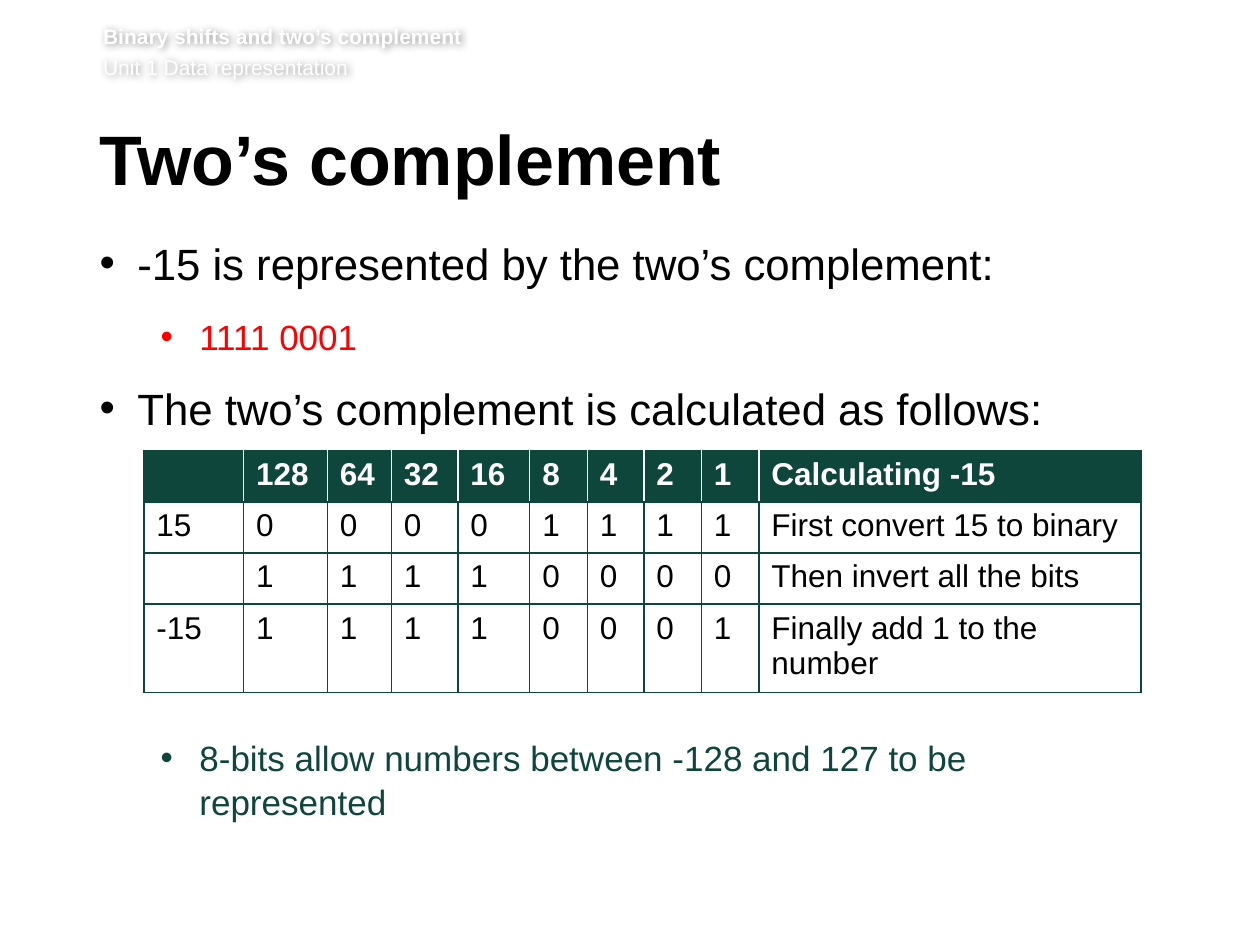
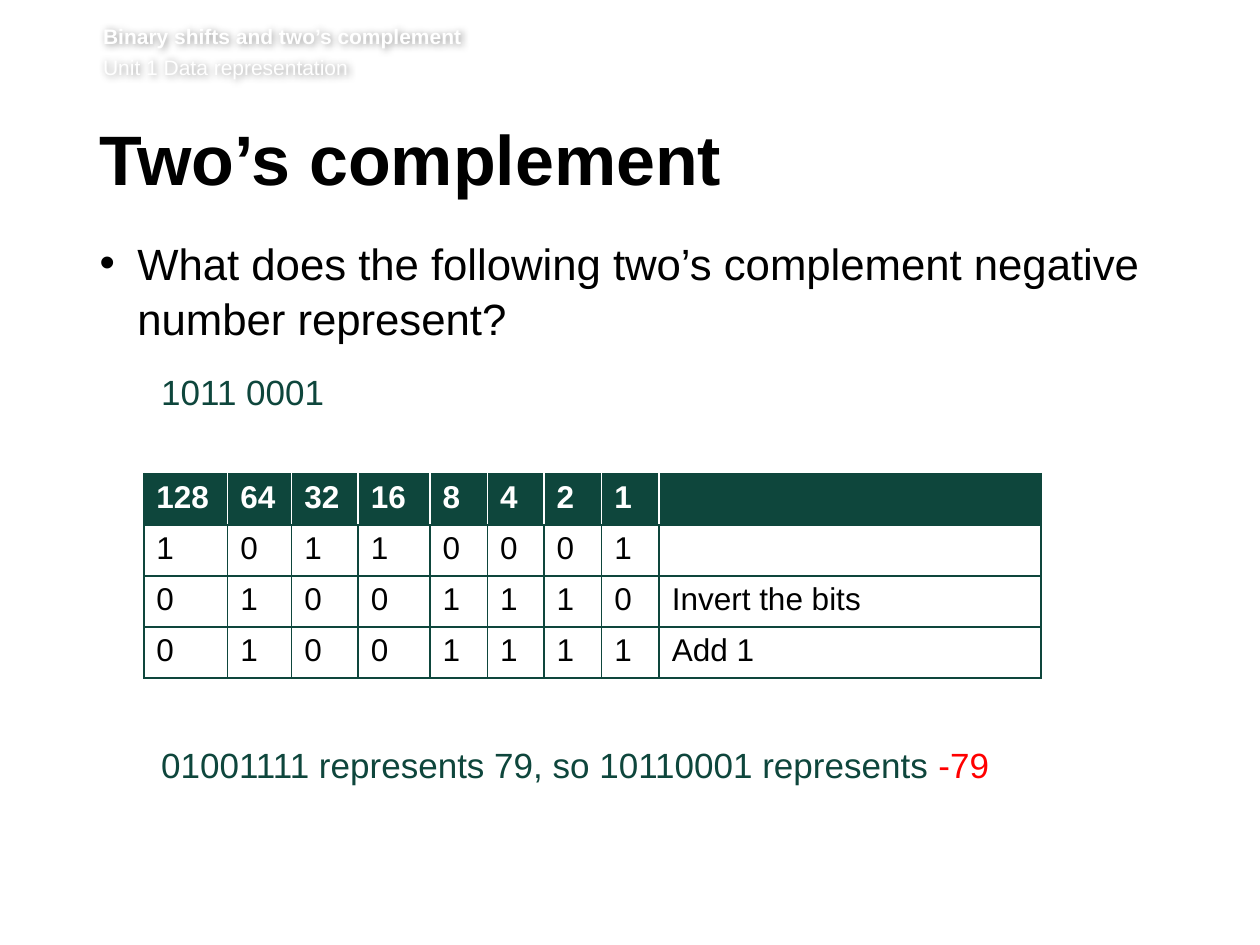
import dataclasses

import pptx
import pptx.dml.color
import pptx.enum.text
import pptx.oxml
import pptx.oxml.ns
import pptx.util

Cm = pptx.util.Cm
Pt = pptx.util.Pt
NAMESPACE = pptx.oxml.ns.nsdecls("a")


@dataclasses.dataclass(frozen=True)
class Theme:
    font: str = "Arial"
    black: str = "000000"
    white: str = "FFFFFF"
    green: str = "0E463C"
    red: str = "FF0000"
    title_size: int = 40
    question_size: int = 25
    answer_size: int = 20
    table_size: int = 18
    header_size: int = 12


class LessonDeck:
    """Holds the theme and the slide being filled."""

    # Column widths and row height in cm
    BIT_WIDTHS = {"128": 1.69, "64": 1.29, "32": 1.34, "16": 1.45,
                  "8": 1.16, "4": 1.14, "2": 1.16, "1": 1.16}
    LABEL_WIDTH, NOTE_WIDTH, ROW_HEIGHT = 2.01, 7.7, 1.03

    def __init__(self, theme):
        self.theme = theme
        self.deck = pptx.Presentation()
        self.deck.slide_width, self.deck.slide_height = Cm(25.4), Cm(19.05)
        self.page = None

    def new_page(self, title):
        self.page = self.deck.slides.add_slide(self.deck.slide_layouts[6])
        self.header("Binary shifts and two’s complement", "Unit 1 Data representation")
        self.title(title)

    def style(self, span, size, color, bold=False):
        span.font.name = self.theme.font
        span.font.size = Pt(size)
        span.font.bold = bold
        span.font.color.rgb = pptx.dml.color.RGBColor.from_string(color)

    def text_box(self, left, top, width, height, inset_top=0, inset_right=0.25):
        box = self.page.shapes.add_textbox(Cm(left), Cm(top), Cm(width), Cm(height))
        frame = box.text_frame
        frame.word_wrap = True
        frame.vertical_anchor = pptx.enum.text.MSO_ANCHOR.TOP
        frame.margin_left, frame.margin_right = 0, Cm(inset_right)
        frame.margin_top, frame.margin_bottom = Cm(inset_top), Cm(0.13)
        return box

    def header(self, lesson, unit):
        box = self.text_box(2.08, 0.48, 22.4, 1.24, inset_right=0)
        box.text_frame.text = f"{lesson}\n{unit}"
        first, second = box.text_frame.paragraphs
        second.space_before = Pt(2.9)
        for para in (first, second):
            self.style(para.runs[0], self.theme.header_size, self.theme.white, para is first)
        # Soft shadow that makes the white text readable
        box.fill.background()
        box.line.fill.background()
        box._element.spPr.append(pptx.oxml.parse_xml(
            f'<a:effectLst {NAMESPACE}><a:outerShdw blurRad="50800" dist="12700" dir="2700000">'
            f'<a:srgbClr val="{self.theme.black}"><a:alpha val="40000"/></a:srgbClr>'
            '</a:outerShdw></a:effectLst>'))

    def title(self, text):
        frame = self.text_box(2.01, 2.51, 21.72, 1.85, inset_top=0.13).text_frame
        frame.text = text
        frame.paragraphs[0].line_spacing = Pt(39)
        self.style(frame.paragraphs[0].runs[0], self.theme.title_size, self.theme.black, True)

    def body(self, top, height, *lines):
        frame = self.text_box(2.01, top, 21.67, height).text_frame
        for index, (add_line, *content) in enumerate(lines):
            para = frame.add_paragraph() if index else frame.paragraphs[0]
            para.line_spacing = 1.05
            add_line(para, *content)

    def indent(self, para, left, hanging, after):
        properties = para._p.get_or_add_pPr()
        properties.set("marL", str(Cm(left)))
        properties.set("indent", str(-Cm(hanging)))
        if hanging:
            properties.append(pptx.oxml.parse_xml(f'<a:buFont {NAMESPACE} typeface="{self.theme.font}"/>'))
            properties.append(pptx.oxml.parse_xml(f'<a:buChar {NAMESPACE} char="•"/>'))
        para.space_after = Pt(after)

    def question(self, para, text):
        self.indent(para, 0.76, 0.76, after=14)
        para.text = text
        self.style(para.runs[0], self.theme.question_size, self.theme.black)

    def bullet(self, para, text, color):
        self.indent(para, 2.01, 0.78, after=12)
        para.text = text
        self.style(para.runs[0], self.theme.answer_size, color)

    def answer(self, para, *parts):
        self.indent(para, 1.24, 0, after=12)
        for text, color in parts:
            span = para.add_run()
            span.text = text
            self.style(span, self.theme.answer_size, color)

    def bit_table(self, top, heading, rows, labelled):
        """Rows hold a label, a string of eight bits and a note."""
        widths = [*self.BIT_WIDTHS.values(), self.NOTE_WIDTH]
        lines = [[*self.BIT_WIDTHS, heading], *([*bits, note] for _, bits, note in rows)]
        if labelled:
            widths.insert(0, self.LABEL_WIDTH)
            labels = ["", *(label for label, _, _ in rows)]
            lines = [[label, *line] for label, line in zip(labels, lines)]
        table = self.page.shapes.add_table(
            len(lines), len(widths), Cm(2.9), Cm(top),
            Cm(sum(widths)), Cm(self.ROW_HEIGHT * len(lines))).table
        table.first_row = table.horz_banding = False
        for column, width in zip(table.columns, widths):
            column.width = Cm(width)
        for row, line in enumerate(lines):
            table.rows[row].height = Cm(self.ROW_HEIGHT)
            for column, text in enumerate(line):
                self.bit_cell(table.cell(row, column), text, row == 0,
                              column == 0, column == len(widths) - 1)

    def bit_cell(self, cell, text, heading, first, last):
        theme = self.theme
        inner = theme.white if heading else theme.green
        borders = {"L": theme.green if first else inner, "R": theme.green if last else inner,
                   "T": theme.green, "B": theme.green}
        properties = cell._tc.get_or_add_tcPr()
        for side, color in borders.items():
            properties.append(pptx.oxml.parse_xml(
                f'<a:ln{side} {NAMESPACE} w="{Pt(1)}"><a:solidFill>'
                f'<a:srgbClr val="{color}"/></a:solidFill></a:ln{side}>'))
        if heading:
            cell.fill.solid()
            cell.fill.fore_color.rgb = pptx.dml.color.RGBColor.from_string(theme.green)
        else:
            cell.fill.background()
        if text:
            cell.text_frame.text = text
            self.style(cell.text_frame.paragraphs[0].runs[0], theme.table_size,
                       theme.white if heading else theme.black, heading)


def main():
    theme = Theme()
    lesson = LessonDeck(theme)

    # Calculating a two's complement
    lesson.new_page("Two’s complement")
    lesson.body(4.72, 4.2,
                (lesson.question, "-15 is represented by the two’s complement:"),
                (lesson.bullet, "1111 0001", theme.red),
                (lesson.question, "The two’s complement is calculated as follows:"))
    lesson.bit_table(9.09, "Calculating -15", [
        ("15", "00001111", "First convert 15 to binary"),
        ("", "11110000", "Then invert all the bits"),
        ("-15", "11110001", "Finally add 1 to the number"),
    ], labelled=True)
    lesson.body(14.81, 1.95,
                (lesson.bullet, "8-bits allow numbers between -128 and 127 to be represented",
                 theme.green))

    # Reading a negative number
    lesson.new_page("Two’s complement")
    lesson.body(4.72, 3.9,
                (lesson.question,
                 "What does the following two’s complement negative number represent?"),
                (lesson.answer, ("1011 0001", theme.green)))
    lesson.bit_table(9.55, "", [
        ("", "10110001", ""),
        ("", "01001110", "Invert the bits"),
        ("", "01001111", "Add 1"),
    ], labelled=False)
    lesson.body(14.94, 1.3,
                (lesson.answer, ("01001111 represents 79, so 10110001 represents ", theme.green),
                 ("-79", theme.red)))

    lesson.deck.save("out.pptx")


if __name__ == "__main__":
    main()
